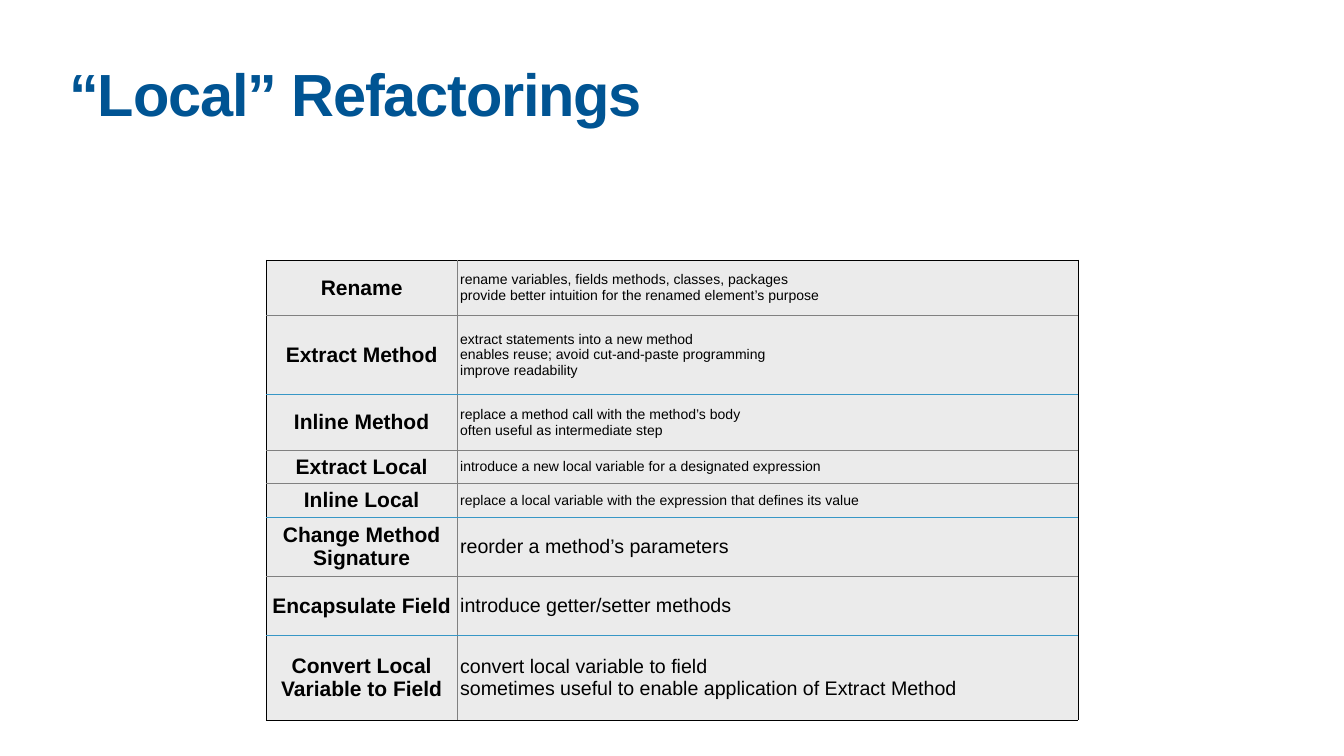
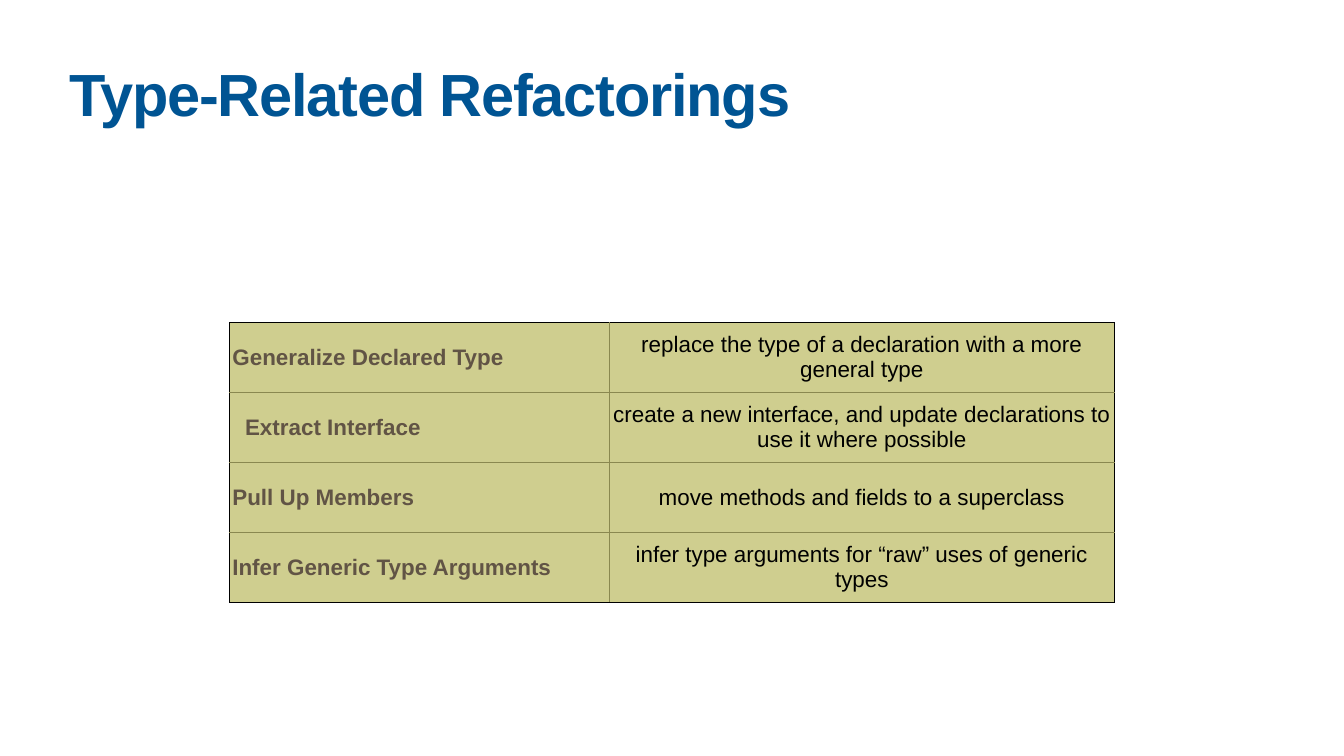
from pptx import Presentation
from pptx.dml.color import RGBColor
from pptx.enum.text import MSO_ANCHOR, PP_ALIGN
from pptx.oxml import parse_xml
from pptx.oxml.ns import nsdecls, qn
from pptx.util import Cm, Pt
from lxml.etree import SubElement

# Content: label, description, size of description, row height in cm
LOCAL = [
    ("Rename", "rename variables, fields methods, classes, packages\n"
     "provide better intuition for the renamed element’s purpose", 20, 2.79),
    ("Extract Method", "extract statements into a new method\n"
     "enables reuse; avoid cut-and-paste programming\nimprove readability", 20, 3.99),
    ("Inline Method", "replace a method call with the method’s body\n"
     "often useful as intermediate step", 20, 2.79),
    ("Extract Local", "introduce a new local variable for a designated expression", 20, 1.7),
    ("Inline Local", "replace a local variable with the expression that defines its value",
     20, 1.7),
    ("Change Method Signature", "reorder a method’s parameters", 28, 2.97),
    ("Encapsulate Field", "introduce getter/setter methods", 28, 2.97),
    ("Convert Local Variable to Field", "convert local variable to field\n"
     "sometimes useful to enable application of Extract Method", 28, 4.27),
]
TYPES = [
    ("Generalize Declared Type", "replace the type of a declaration with a more general type"),
    ("Extract Interface", "create a new interface, and update declarations to "
     "use it where possible"),
    ("Pull Up Members", "move methods and fields to a superclass"),
    ("Infer Generic Type Arguments", "infer type arguments for “raw” uses of generic types"),
]

# Shared look
FONT, BLUE, BLACK, BROWN = "Arial", "005493", "000000", "615445"
GRAY, SKY, OLIVE = "808080", "3797C6", "8A8850"
INSET = Cm(0.15)
LEFT, MID = PP_ALIGN.LEFT, PP_ALIGN.CENTER


def color(hex):
    return RGBColor.from_string(hex)


def write(frame, text, size=32, ink=BLACK, bold=False, align=LEFT,
          line=None, track=None, indent=None):
    """Fill a text frame with one paragraph; newlines become line breaks."""
    frame.word_wrap = True
    par = frame.paragraphs[0]
    par.text = text
    par.alignment = align
    if line:
        par.line_spacing = line
    if indent:
        par._p.get_or_add_pPr().set("indent", str(indent))
    for run in par.runs:
        font = run.font
        font.name, font.size, font.bold = FONT, Pt(size), bold
        font.color.rgb = color(ink)
        if track:
            run._r.get_or_add_rPr().set("spc", str(track))


def pad(box):
    box.margin_left = box.margin_right = box.margin_top = box.margin_bottom = INSET


def add_page(deck, title):
    page = deck.slides.add_slide(deck.slide_layouts[6])
    box = page.shapes.add_textbox(Cm(3.35), Cm(3), Cm(61.04), Cm(3.99))
    pad(box.text_frame)
    box.text_frame.vertical_anchor = MSO_ANCHOR.MIDDLE
    write(box.text_frame, title, size=85, ink=BLUE, bold=True, line=0.8, track=-170)
    return page


def edge(cell, side, ink):
    cell._tc.get_or_add_tcPr().append(parse_xml(
        f'<a:ln{side} {nsdecls("a")} w="12700"><a:solidFill><a:srgbClr val="{ink}"/>'
        f'</a:solidFill></a:ln{side}>'))


def add_grid(page, left, top, widths, heights, fill, rule, alpha=None, accents=()):
    """Add an empty table: black frame, inner rules, accent rules below some rows."""
    grid = page.shapes.add_table(len(heights), len(widths), Cm(left), Cm(top),
                                 Cm(sum(widths)), Cm(sum(heights))).table
    grid.first_row = grid.horz_banding = False
    for col, width in zip(grid.columns, widths):
        col.width = Cm(width)
    for row, height in zip(grid.rows, heights):
        row.height = Cm(height)
    end_row, end_col = len(heights) - 1, len(widths) - 1

    def level(r):
        return SKY if r in accents else rule

    for r in range(len(heights)):
        for c in range(len(widths)):
            cell = grid.cell(r, c)
            edge(cell, "L", rule if c else BLACK)
            edge(cell, "R", rule if c < end_col else BLACK)
            edge(cell, "T", level(r - 1) if r else BLACK)
            edge(cell, "B", level(r) if r < end_row else BLACK)
            cell.fill.solid()
            cell.fill.fore_color.rgb = color(fill)
            if alpha:
                tone = cell._tc.tcPr.find(qn("a:solidFill"))[0]
                SubElement(tone, qn("a:alpha")).set("val", str(alpha * 1000))
            pad(cell)
            cell.vertical_anchor = MSO_ANCHOR.MIDDLE
    return grid


def main():
    deck = Presentation()
    deck.slide_width, deck.slide_height = Cm(67.73), Cm(38.1)

    # Local refactorings
    page = add_page(deck, "“Local” Refactorings")
    grid = add_grid(page, 13.41, 13.11, (9.63, 31.29), [row[3] for row in LOCAL],
                    "EBEBEB", GRAY, accents=(1, 4, 6))
    for r, (name, text, size, _) in enumerate(LOCAL):
        write(grid.cell(r, 0).text_frame, name, size=30, bold=True, align=MID)
        write(grid.cell(r, 1).text_frame, text, size=size)

    # Type-related refactorings
    page = add_page(deck, "Type-Related Refactorings")
    grid = add_grid(page, 11.56, 16.26, (19.15, 25.45), [3.52] * len(TYPES),
                    "929000", OLIVE, alpha=44)
    for r, (name, text) in enumerate(TYPES):
        write(grid.cell(r, 0).text_frame, name, ink=BROWN, bold=True, line=1.04,
              indent=Cm(0.64) if name == "Extract Interface" else None)
        write(grid.cell(r, 1).text_frame, text, align=MID)

    deck.save("out.pptx")


if __name__ == "__main__":
    main()
